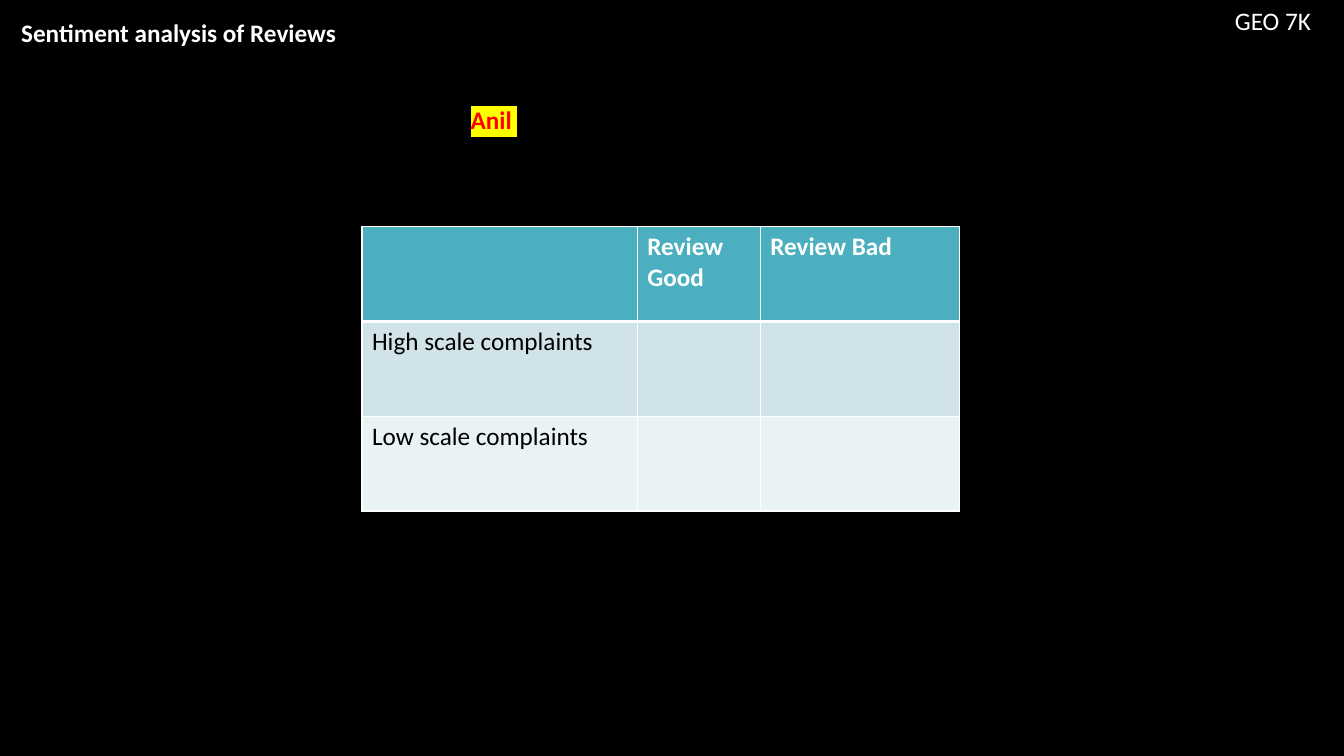
"""Build the review sentiment slide with its complaint table."""
from dataclasses import dataclass
from typing import Any, Optional

from lxml import etree
from pptx import Presentation
from pptx import util as u
from pptx.dml.color import RGBColor
from pptx.enum import text
from pptx.oxml import ns

BLACK = RGBColor(0x00, 0x00, 0x00)
WHITE = RGBColor(0xFF, 0xFF, 0xFF)
RED = RGBColor(0xFF, 0x00, 0x00)
YELLOW = RGBColor(0xFF, 0xFF, 0x00)
TEAL = RGBColor(0x4B, 0xAF, 0xBF)
PALE_TEAL = RGBColor(0xD0, 0xE3, 0xE8)
FAINT_TEAL = RGBColor(0xE9, 0xF2, 0xF4)

FONT = {"name": "Calibri", "size": u.Pt(18)}
FRAME = {
    "word_wrap": True,
    "auto_size": text.MSO_AUTO_SIZE.SHAPE_TO_FIT_TEXT,
    "vertical_anchor": text.MSO_ANCHOR.TOP,
}
COLUMN_WIDTHS = (2.73, 1.22, 1.98)
ROW_HEIGHT = 0.94
THIN, THICK = 1, 3


@dataclass(frozen=True)
class Label:
    wording: str
    left: float
    top: float
    width: float
    color: RGBColor = WHITE
    bold: bool = True
    highlight: Optional[RGBColor] = None
    is_title: bool = False


@dataclass(frozen=True)
class TableRow:
    wordings: tuple[str, str, str]
    fill: RGBColor
    color: RGBColor = BLACK
    bold: bool = False
    top_line: int = THIN
    bottom_line: int = THIN


LABELS = (
    Label("GEO 7K", 12.15, 0, 1.07, bold=False),
    Label("Sentiment analysis of Reviews", 0.11, 0.12, 4.78, is_title=True),
    Label("Anil ", 4.57, 0.99, 1.97, color=RED, highlight=YELLOW),
)
ROWS = (
    TableRow(("", "Review Good", "Review Bad"), TEAL, WHITE, True, bottom_line=THICK),
    TableRow(("High scale complaints", "", ""), PALE_TEAL, top_line=THICK),
    TableRow(("Low scale complaints", "", ""), FAINT_TEAL),
)


def apply(target: Any, values: dict[str, Any]) -> None:
    """Set each named attribute on the target."""
    for name, value in values.items():
        setattr(target, name, value)


def add_color(parent: Any, tag: str, color: RGBColor) -> Any:
    """Append an element holding an RGB colour."""
    element = etree.SubElement(parent, ns.qn(tag))
    etree.SubElement(element, ns.qn("a:srgbClr"), val=str(color))
    return element


def write(para: Any, wording: str, color: RGBColor, bold: bool) -> Any:
    """Add a formatted span to a paragraph."""
    span = para.add_run()
    span.text = wording
    apply(span.font, {**FONT, "bold": bold})
    span.font.color.rgb = color
    return span


def draw_label(page: Any, label: Label) -> None:
    """Place one line of text on the page."""
    place = {
        "left": u.Inches(label.left),
        "top": u.Inches(label.top),
        "width": u.Inches(label.width),
        "height": u.Inches(0.4),
    }
    box = page.shapes.title if label.is_title else page.shapes.add_textbox(**place)
    apply(box, place)
    apply(box.text_frame, FRAME)
    para = box.text_frame.paragraphs[0]
    para.alignment = text.PP_ALIGN.LEFT
    span = write(para, label.wording, label.color, label.bold)
    if label.highlight is not None:
        properties = span.font._element
        mark = add_color(properties, "a:highlight", label.highlight)
        properties.find(ns.qn("a:solidFill")).addnext(mark)


def draw_borders(cell: Any, row: TableRow) -> None:
    """Outline a cell in white."""
    properties = cell._tc.get_or_add_tcPr()
    widths = {"L": THIN, "R": THIN, "T": row.top_line, "B": row.bottom_line}
    for index, (side, width) in enumerate(widths.items()):
        line = etree.Element(ns.qn(f"a:ln{side}"), w=str(u.Pt(width)))
        add_color(line, "a:solidFill", WHITE)
        properties.insert(index, line)


def draw_table(page: Any) -> None:
    """Draw the grid of complaints against reviews."""
    table = page.shapes.add_table(
        len(ROWS), len(COLUMN_WIDTHS), u.Inches(3.59), u.Inches(2.25),
        u.Inches(sum(COLUMN_WIDTHS)), u.Inches(ROW_HEIGHT * len(ROWS)),
    ).table
    for column, width in zip(table.columns, COLUMN_WIDTHS):
        column.width = u.Inches(width)
    for table_row, row in zip(table.rows, ROWS):
        table_row.height = u.Inches(ROW_HEIGHT)
        for cell, wording in zip(table_row.cells, row.wordings):
            cell.fill.solid()
            cell.fill.fore_color.rgb = row.fill
            draw_borders(cell, row)
            if wording:
                write(cell.text_frame.paragraphs[0], wording, row.color, row.bold)


def main() -> None:
    """Build and save the deck."""
    deck = Presentation()
    apply(deck, {"slide_width": u.Inches(13.33), "slide_height": u.Inches(7.5)})
    page = deck.slides.add_slide(deck.slide_layouts.get_by_name("Title Only"))
    page.background.fill.solid()
    page.background.fill.fore_color.rgb = BLACK
    for label in LABELS:
        draw_label(page, label)
    draw_table(page)
    deck.save("out.pptx")


if __name__ == "__main__":
    main()
